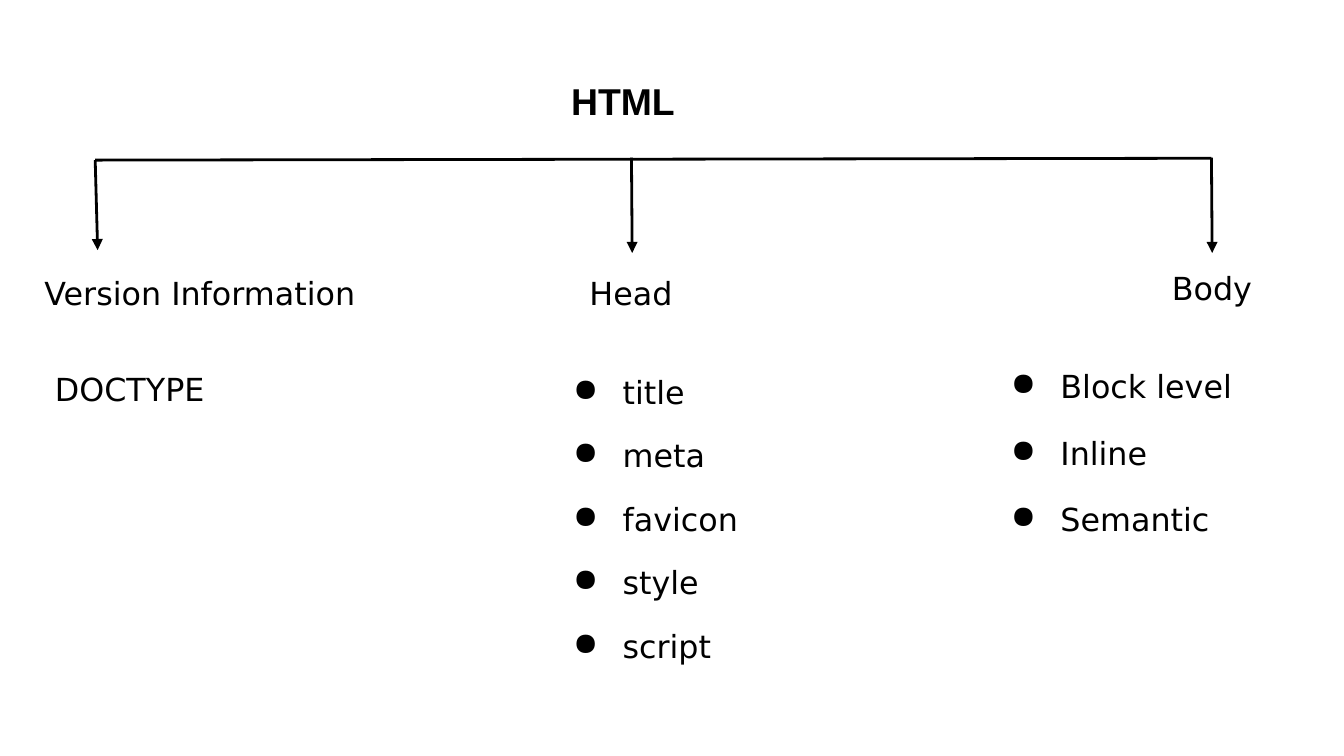
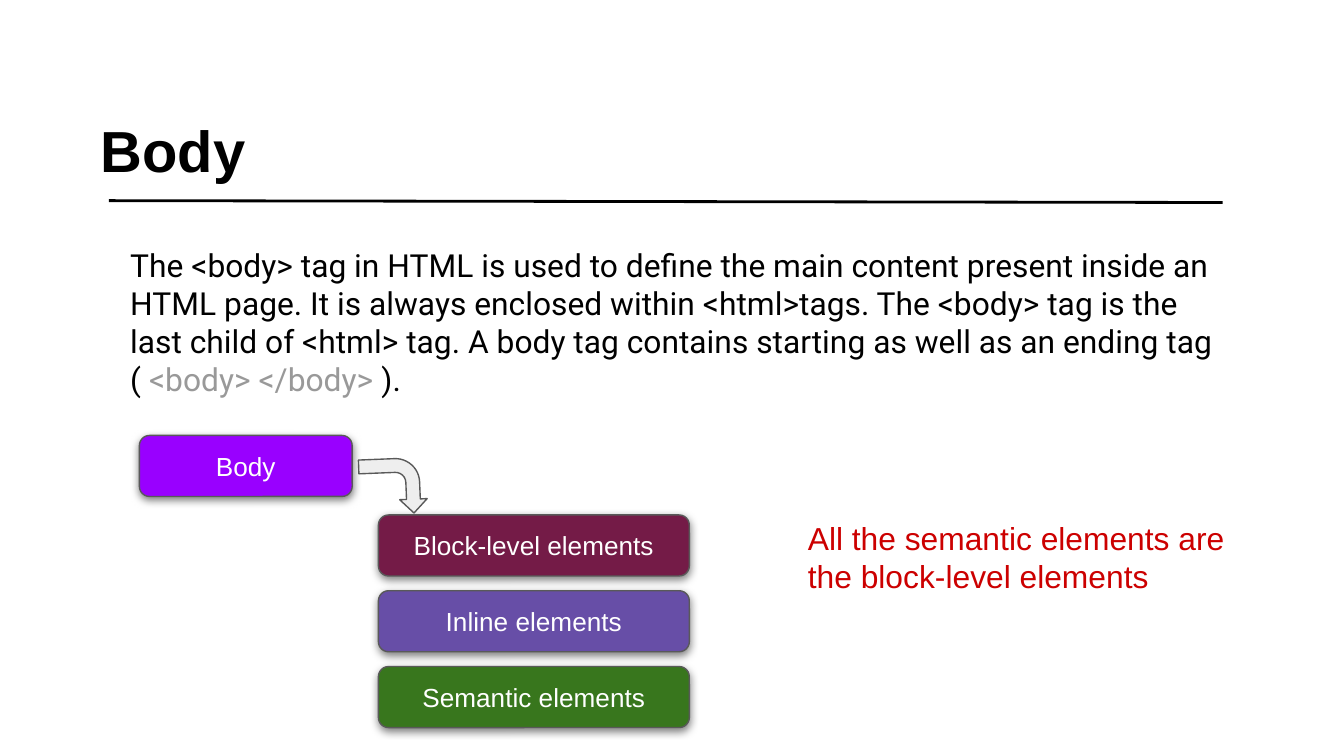
from lxml import etree
from pptx import Presentation
from pptx.dml.color import RGBColor
from pptx.enum.shapes import MSO_CONNECTOR as CONN, MSO_SHAPE as SHAPE
from pptx.enum.text import MSO_ANCHOR as ANCHOR, MSO_AUTO_SIZE as AUTO, PP_ALIGN as ALIGN
from pptx.oxml.ns import qn
from pptx.util import Pt

# Colours
BLACK = RGBColor(0x00, 0x00, 0x00)
WHITE = RGBColor(0xFF, 0xFF, 0xFF)
GREY = RGBColor(0x99, 0x99, 0x99)
RED = RGBColor(0xCC, 0x00, 0x00)
OUTLINE = RGBColor(0x59, 0x59, 0x59)
ARROW = RGBColor(0xEE, 0xEE, 0xEE)
VIOLET = RGBColor(0x99, 0x00, 0xFF)
PLUM = RGBColor(0x74, 0x1B, 0x47)
INDIGO = RGBColor(0x67, 0x4E, 0xA7)
GREEN = RGBColor(0x38, 0x76, 0x1D)

# Fonts
SANS, LABEL, PROSE = "Arial", "DejaVu Sans", "Roboto"
BODY_SIZE = 17


def add_run(p, text, size, font, color=BLACK, bold=False):
    r = p.add_run()
    r.text = text
    r.font.size = Pt(size)
    r.font.name = font
    r.font.color.rgb = color
    r.font.bold = bold


def set_frame(tf, anchor=ANCHOR.TOP):
    tf.word_wrap = True
    tf.auto_size = AUTO.NONE
    tf.vertical_anchor = anchor
    tf.margin_left = tf.margin_right = tf.margin_top = tf.margin_bottom = Pt(7.2)


def place(sp, box):
    sp.left, sp.top, sp.width, sp.height = (Pt(v) for v in box)


def add_title(slide, text, box, size, align=ALIGN.LEFT):
    sp = slide.shapes.title
    place(sp, box)
    set_frame(sp.text_frame)
    p = sp.text_frame.paragraphs[0]
    p.alignment = align
    add_run(p, text, size, SANS, bold=True)


def add_text(slide, runs, box, font=LABEL, align=ALIGN.LEFT):
    """Add a text box; runs is a list of (text, colour)."""
    sp = slide.shapes.add_textbox(*(Pt(v) for v in box))
    set_frame(sp.text_frame)
    p = sp.text_frame.paragraphs[0]
    p.alignment = align
    for text, color in runs:
        add_run(p, text, BODY_SIZE, font, color)
    return p


def add_bullets(slide, items, left, top, width, pitch):
    for i, item in enumerate(items):
        p = add_text(slide, [(item, BLACK)], (left, top + i * pitch, width, 34))
        pPr = p._p.get_or_add_pPr()
        pPr.set("marL", str(Pt(36)))
        pPr.set("indent", str(Pt(-26.5)))
        etree.SubElement(pPr, qn("a:buChar"), char="●")


def add_line(slide, start, end, arrow=False):
    ln = slide.shapes.add_connector(CONN.STRAIGHT, *(Pt(v) for v in start + end))
    ln.line.color.rgb = BLACK
    ln.line.width = Pt(1.5)
    if arrow:
        etree.SubElement(ln.line._get_or_add_ln(), qn("a:tailEnd"), type="triangle")
    etree.SubElement(ln._element.spPr, qn("a:effectLst"))


def add_shape(slide, kind, box, fill):
    sp = slide.shapes.add_shape(kind, *(Pt(v) for v in box))
    sp.fill.solid()
    sp.fill.fore_color.rgb = fill
    sp.line.color.rgb = OUTLINE
    sp.line.width = Pt(0.75)
    sp.shadow.inherit = False
    return sp


def add_card(slide, text, box, fill):
    """Add a rounded, softly shadowed card with a centred label."""
    sp = add_shape(slide, SHAPE.ROUNDED_RECTANGLE, box, fill)
    effects = sp._element.spPr.find(qn("a:effectLst"))
    shadow = etree.SubElement(effects, qn("a:outerShdw"), blurRad=str(Pt(4.5)),
                              dist=str(Pt(1.5)), dir="5400000",
                              algn="bl", rotWithShape="0")
    color = etree.SubElement(shadow, qn("a:srgbClr"), val=str(BLACK))
    etree.SubElement(color, qn("a:alpha"), val="50000")
    set_frame(sp.text_frame, ANCHOR.MIDDLE)
    p = sp.text_frame.paragraphs[0]
    p.alignment = ALIGN.CENTER
    add_run(p, text, 14, SANS, WHITE)


def build_structure(slide):
    add_title(slide, "HTML", (260, 34.5, 147.5, 51), 20, ALIGN.CENTER)

    # Tree: one bar and three branches
    add_line(slide, (51, 85.8), (649, 84.8))
    for start, end in (((51, 85.8), (52.3, 134)),
                       ((338.3, 84.5), (338.7, 135.5)),
                       ((649, 84.5), (649.4, 135.5))):
        add_line(slide, start, end, arrow=True)

    # Branch labels
    for text, box, align in (
            ("Version Information", (16.7, 139.7, 203, 38), ALIGN.LEFT),
            ("Head", (257, 139.7, 162, 43), ALIGN.CENTER),
            ("Body", (592, 137, 114.5, 43), ALIGN.CENTER),
            ("DOCTYPE", (22.3, 191, 128, 43), ALIGN.LEFT)):
        add_text(slide, [(text, BLACK)], box, align=align)

    # Contents of each branch
    add_bullets(slide, ("title", "meta", "favicon", "style", "script"),
                290.5, 192.5, 150, 34)
    add_bullets(slide, ("Block level", "Inline", "Semantic"),
                525, 189.4, 162, 35.7)


def build_body(slide):
    add_title(slide, "Body", (46.8, 54, 627, 47), 31)
    add_line(slide, (58.3, 107.5), (655, 108.5))

    # Definition
    add_text(slide, [
        ("The <body> tag in HTML is used to define the main content present "
         "inside an HTML page. It is always enclosed within <html>tags. The "
         "<body> tag is the last child of <html> tag. A body tag contains "
         "starting as well as an ending tag ( ", BLACK),
        ("<body> </body>", GREY),
        (" ).", BLACK)], (62.7, 124.5, 595, 93), PROSE)

    # Body card and the kinds of element below it
    add_card(slide, "Body", (74.7, 233.3, 114, 32.7), VIOLET)
    kinds = (("Block-level elements", PLUM), ("Inline elements", INDIGO),
             ("Semantic elements", GREEN))
    for i, (text, fill) in enumerate(kinds):
        add_card(slide, text, (202.7, 275.9 + i * 40.6, 166.6, 32.7), fill)

    # Bent arrow
    sp = add_shape(slide, SHAPE.BENT_ARROW, (195.8, 242.5, 29.5, 36), ARROW)
    sp.rotation = 87.7
    sp.adjustments[3] = 0.44

    add_text(slide, [("All the semantic elements are the block-level elements", RED)],
             (425.7, 270.7, 262, 59), SANS)


def main():
    prs = Presentation()
    prs.slide_width, prs.slide_height = Pt(720), Pt(405)
    title_only = prs.slide_layouts[5]
    for build in (build_structure, build_body):
        build(prs.slides.add_slide(title_only))
    prs.save("out.pptx")


if __name__ == "__main__":
    main()
